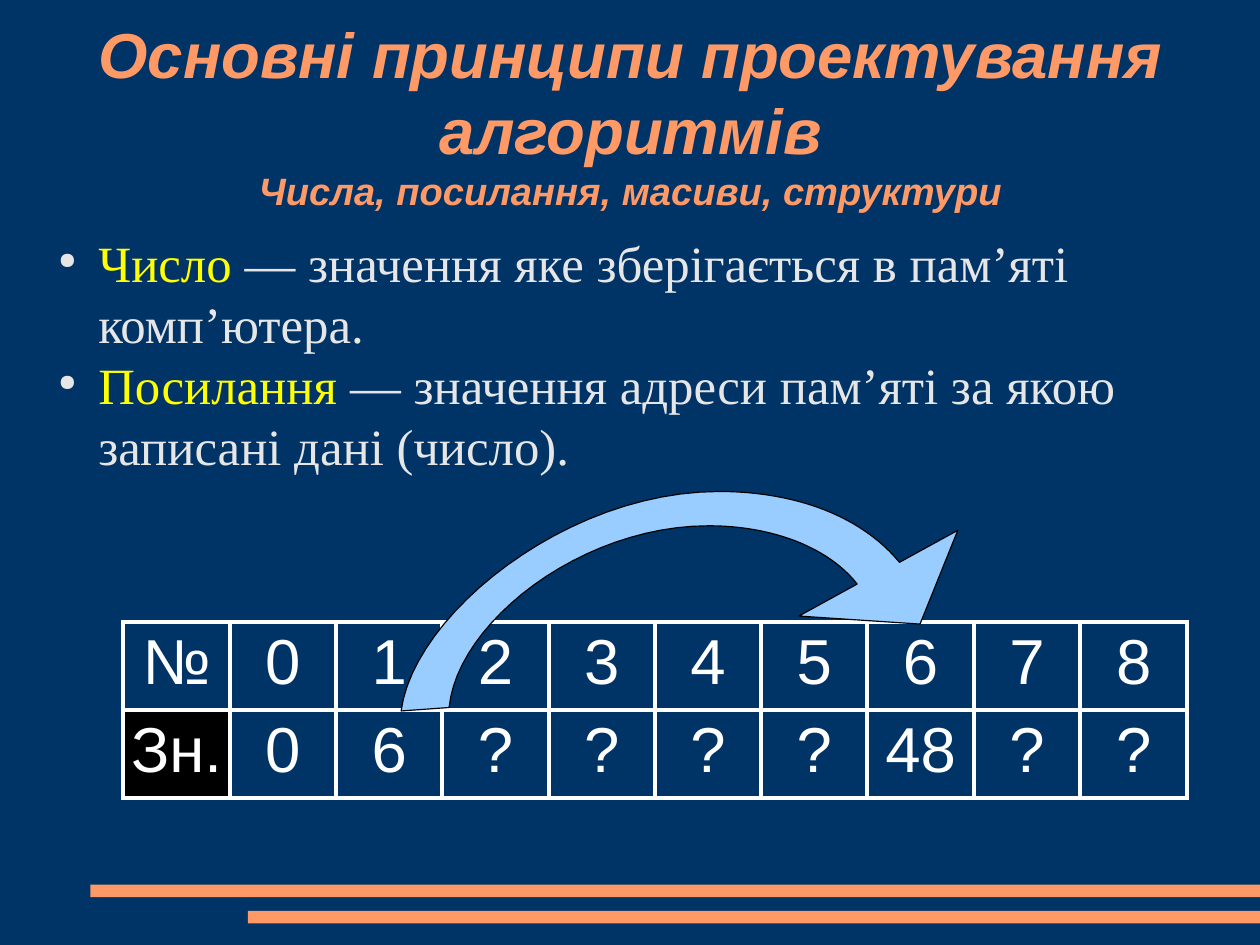
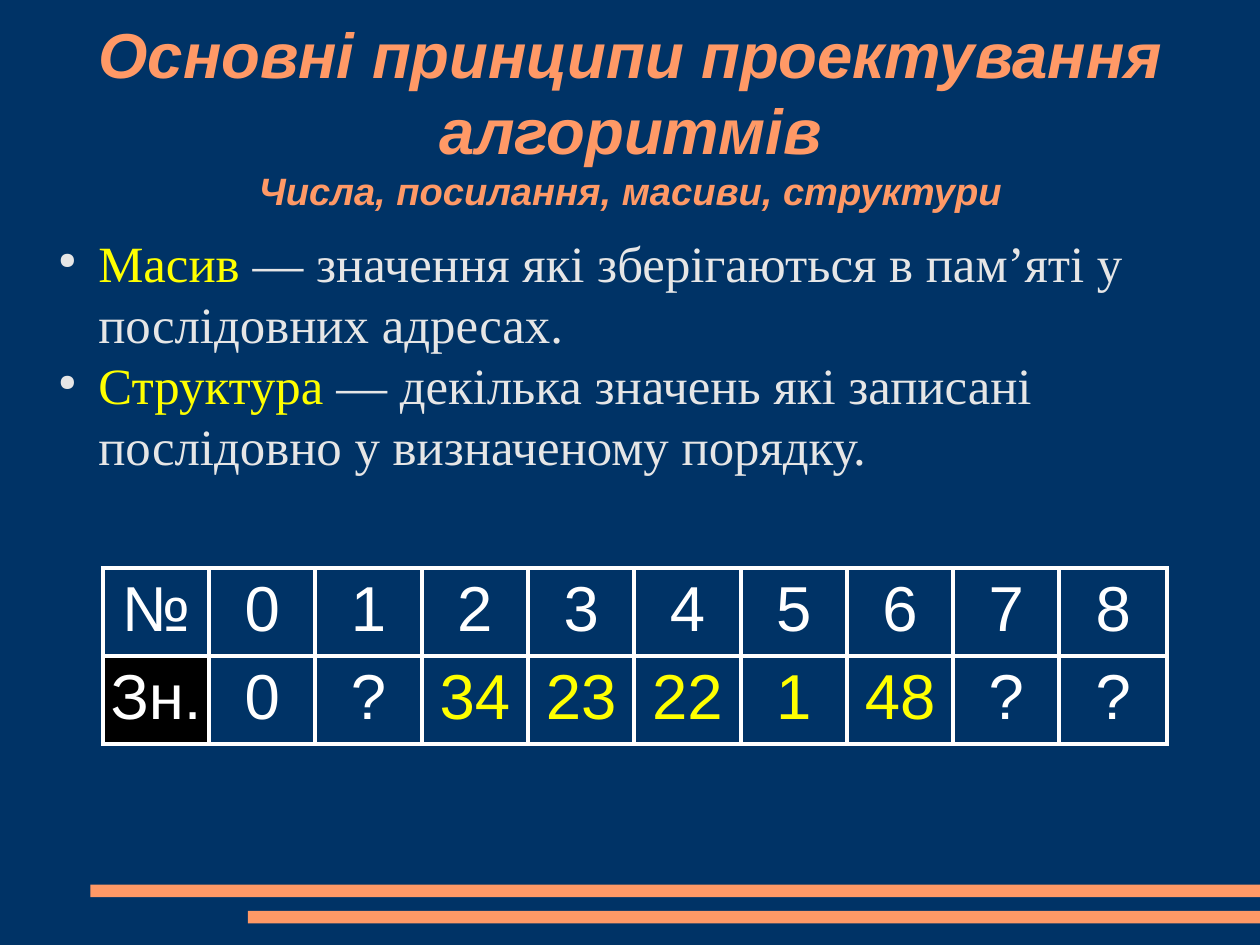
from lxml import etree
from pptx import Presentation
from pptx.dml.color import RGBColor
from pptx.enum import shapes, text
from pptx.oxml import ns
from pptx.util import Cm, Emu, Inches, Pt

NAVY = RGBColor(0x00, 0x33, 0x66)
ORANGE = RGBColor(0xFF, 0x99, 0x66)
YELLOW = RGBColor(0xFF, 0xFF, 0x00)
LIGHT_GRAY = RGBColor(0xE6, 0xE6, 0xE6)
WHITE = RGBColor(0xFF, 0xFF, 0xFF)
BLACK = RGBColor(0x00, 0x00, 0x00)
SKY = RGBColor(0x99, 0xCC, 0xFF)

SANS = "Arial"
SERIF = "Times New Roman"
SLIDE_WIDTH = Cm(28)
SLIDE_HEIGHT = Cm(21)
BANDS = [(0.79, 7.74), (2.17, 7.97)]
BAND_HEIGHT = 0.11
TITLE = "Основні принципи проектування алгоритмів"
SUBTITLE = "Числа, посилання, масиви, структури"
ADDRESSES = ["№", *"012345678"]
COLUMN_WIDTHS = [0.93] * 9 + [0.94]
TABLE_WIDTH = 9.35
ROW_HEIGHT = 0.77
BORDER_WIDTH = Pt(2.83)
CURVE_STEPS = 24


def add_node(parent, tag, **attributes):
    return etree.SubElement(parent, ns.qn(tag), {k: str(v) for k, v in attributes.items()})


def set_font(font, size, name, color):
    font.size = Pt(size)
    font.name = name
    font.color.rgb = color


def add_text_frame(s, left, top, width, height):
    box = s.shapes.add_textbox(Inches(left), Inches(top), Inches(width), Inches(height))
    tf = box.text_frame
    tf.word_wrap = True
    tf.margin_left = tf.margin_right = tf.margin_top = tf.margin_bottom = 0
    return tf


def add_bands(s):
    for left, top in BANDS:
        sp = s.shapes.add_shape(
            shapes.MSO_SHAPE.RECTANGLE, Inches(left), Inches(top),
            SLIDE_WIDTH - Inches(left), Inches(BAND_HEIGHT))
        sp.shadow.inherit = False
        sp.fill.solid()
        sp.fill.fore_color.rgb = ORANGE
        sp.line.fill.background()


def add_title(s):
    tf = add_text_frame(s, 0.81, 0.19, 9.41, 1.61)
    tf.auto_size = text.MSO_AUTO_SIZE.SHAPE_TO_FIT_TEXT
    tf.vertical_anchor = text.MSO_ANCHOR.MIDDLE
    p = tf.paragraphs[0]
    p.alignment = text.PP_ALIGN.CENTER
    set_font(p.font, 40, SANS, ORANGE)
    p.font.bold = p.font.italic = True
    p.add_run().text = TITLE
    p.add_line_break()
    r = p.add_run()
    r.text = SUBTITLE
    r.font.size = Pt(24)


def add_bullet(p):
    pPr = p._p.get_or_add_pPr()
    pPr.set("marL", str(Inches(0.47)))
    pPr.set("indent", str(Inches(-0.35)))
    color = add_node(pPr, "a:buClr")
    add_node(color, "a:srgbClr", val=LIGHT_GRAY)
    add_node(pPr, "a:buSzPct", val=45000)
    add_node(pPr, "a:buChar", char="●")


def add_definitions(s, definitions):
    tf = add_text_frame(s, 0.39, 2.03, 10.43, 5.4)
    for i, (term, meaning) in enumerate(definitions):
        p = tf.add_paragraph() if i else tf.paragraphs[0]
        add_bullet(p)
        set_font(p.font, 32, SERIF, LIGHT_GRAY)
        r = p.add_run()
        r.text = term
        r.font.color.rgb = YELLOW
        p.add_run().text = f" — {meaning}"


def add_borders(cell):
    tcPr = cell._tc.get_or_add_tcPr()
    for i, side in enumerate(("a:lnL", "a:lnR", "a:lnT", "a:lnB")):
        line = etree.Element(ns.qn(side), {"w": str(BORDER_WIDTH)})
        fill = add_node(line, "a:solidFill")
        add_node(fill, "a:srgbClr", val=WHITE)
        tcPr.insert(i, line)


def fill_cell(cell, value, color):
    cell.margin_left = cell.margin_right = Inches(0.04)
    cell.margin_top = cell.margin_bottom = Inches(0.05)
    cell.fill.background()
    add_borders(cell)
    p = cell.text_frame.paragraphs[0]
    p.alignment = text.PP_ALIGN.CENTER
    set_font(p.font, 40, SANS, color)
    p.add_run().text = value


def add_memory_table(s, left, top, values, highlighted=()):
    rows = [ADDRESSES, ["Зн.", *values]]
    table = s.shapes.add_table(
        len(rows), len(ADDRESSES), Inches(left), Inches(top),
        Inches(TABLE_WIDTH), Inches(ROW_HEIGHT * len(rows))).table
    table.first_row = table.horz_banding = False
    for column, width in zip(table.columns, COLUMN_WIDTHS):
        column.width = Inches(width)
    for i, row in enumerate(rows):
        for j, value in enumerate(row):
            marked = i == 1 and ADDRESSES[j] in highlighted
            fill_cell(table.cell(i, j), value, YELLOW if marked else WHITE)
    label = table.cell(1, 0)
    label.fill.solid()
    label.fill.fore_color.rgb = BLACK


def curve(*controls):
    points = []
    for step in range(1, CURVE_STEPS + 1):
        t = step / CURVE_STEPS
        weights = ((1 - t) ** 3, 3 * t * (1 - t) ** 2, 3 * t * t * (1 - t), t ** 3)
        points.append(tuple(sum(w * c[axis] for w, c in zip(weights, controls))
                            for axis in (0, 1)))
    return points


def add_reference_arrow(s):
    inner_end, inner_top, inner_start = (7.5, 5.11), (6.2, 4.6), (3.93, 6.19)
    outer_start, outer_top, outer_end = (3.51, 6.22), (6.29, 4.3), (7.87, 4.92)
    outline = [
        inner_end,
        *curve(inner_end, (7.25, 4.79), (6.76, 4.6), inner_top),
        *curve(inner_top, (5.08, 4.6), (4.0, 5.45), inner_start),
        outer_start,
        *curve(outer_start, (3.62, 5.38), (4.95, 4.3), outer_top),
        *curve(outer_top, (6.97, 4.3), (7.54, 4.52), outer_end),
        (8.38, 4.64), (8.05, 5.46), (6.99, 5.39),
    ]
    start, *rest = [(Inches(x), Inches(y)) for x, y in outline]
    builder = s.shapes.build_freeform(*start)
    builder.add_line_segments(rest, close=True)
    sp = builder.convert_to_shape()
    sp.shadow.inherit = False
    sp.fill.solid()
    sp.fill.fore_color.rgb = SKY
    sp.line.color.rgb = BLACK
    sp.line.width = Emu(0)


def add_slide(prs, definitions):
    s = prs.slides.add_slide(prs.slide_layouts[6])
    add_bands(s)
    add_title(s)
    add_definitions(s, definitions)
    return s


def main():
    prs = Presentation()
    prs.slide_width = SLIDE_WIDTH
    prs.slide_height = SLIDE_HEIGHT
    background = prs.slide_master.background.fill
    background.solid()
    background.fore_color.rgb = NAVY

    s = add_slide(prs, [
        ("Число", "значення яке зберігається в пам’яті комп’ютера."),
        ("Посилання", "значення адреси пам’яті за якою записані дані (число)."),
    ])
    add_memory_table(s, 1.08, 5.44, ["0", "6", "?", "?", "?", "?", "48", "?", "?"])
    add_reference_arrow(s)

    s = add_slide(prs, [
        ("Масив", "значення які зберігаються в пам’яті у послідовних адресах."),
        ("Структура", "декілька значень які записані послідовно у визначеному порядку."),
    ])
    add_memory_table(s, 0.9, 4.97, ["0", "?", "34", "23", "22", "1", "48", "?", "?"],
                     highlighted="23456")

    prs.save("out.pptx")


if __name__ == "__main__":
    main()
